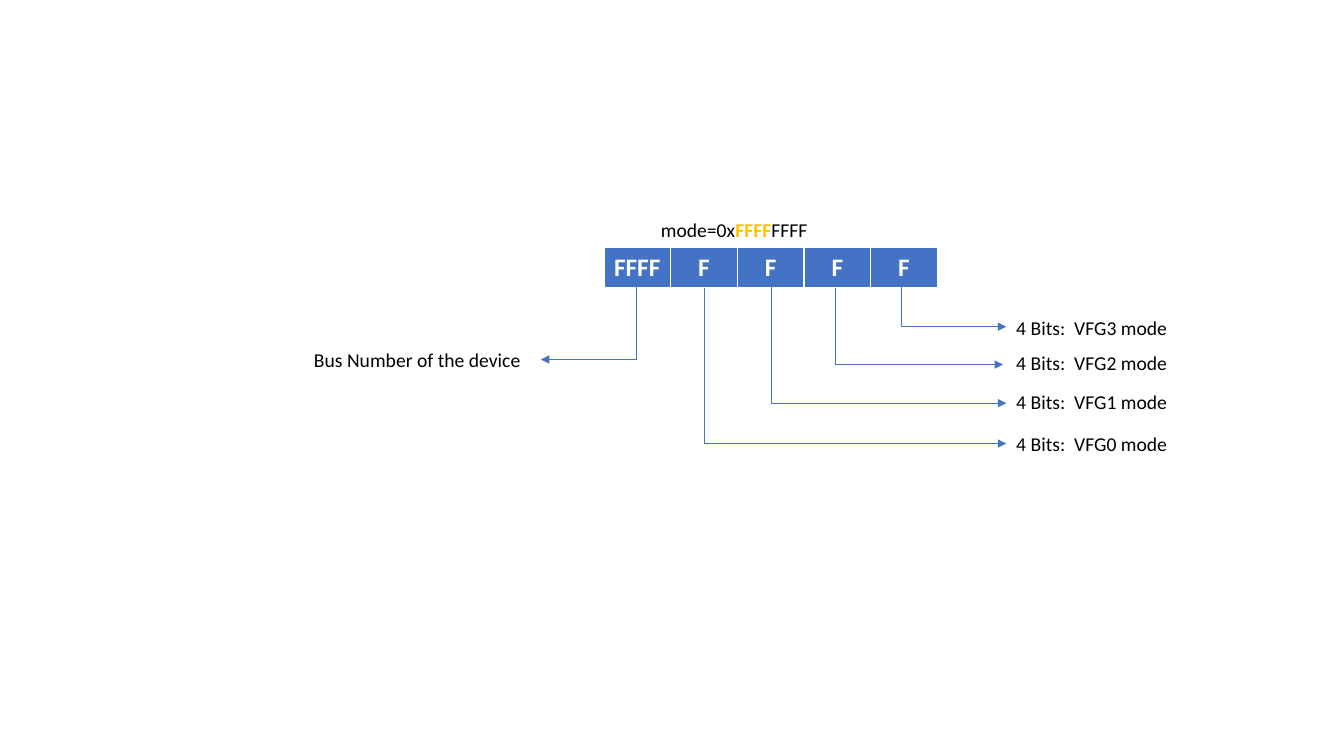
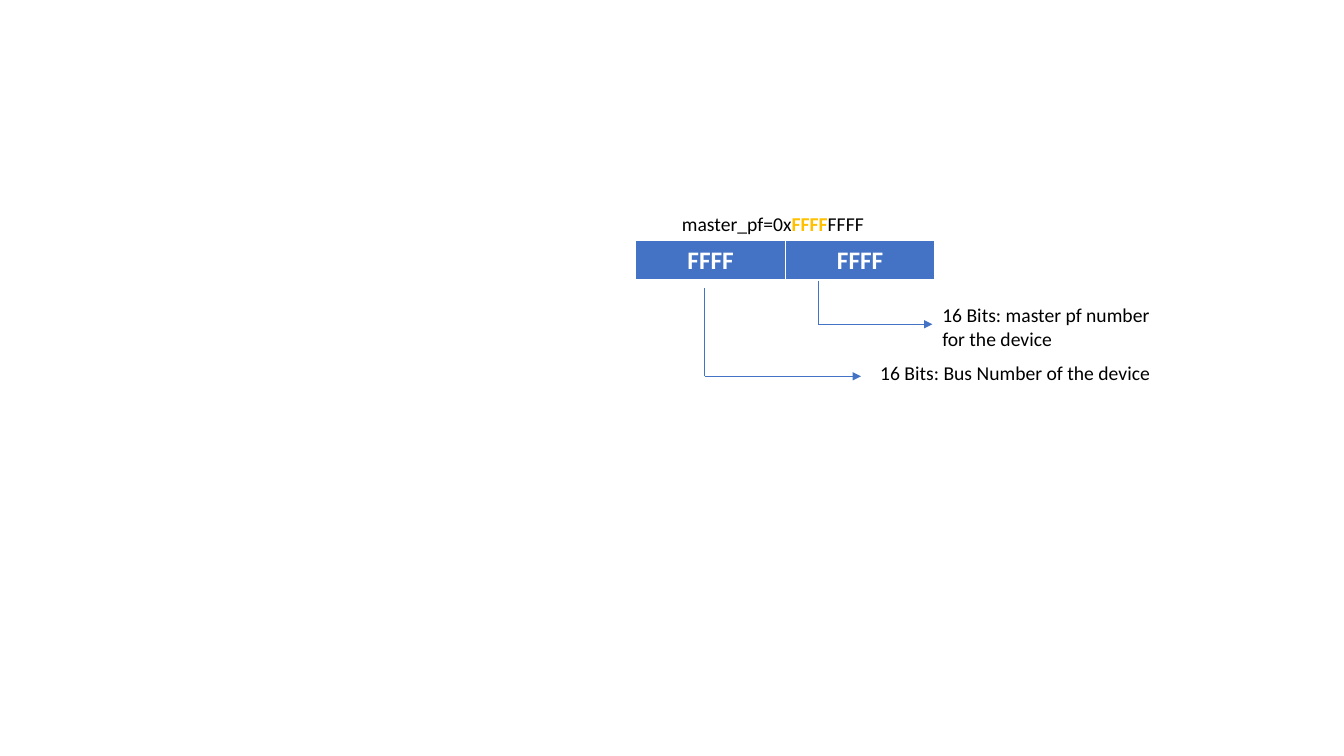
"""Draw two slides that explain how hexadecimal parameters split into bit fields."""
from dataclasses import dataclass

from lxml.etree import SubElement
from pptx import Presentation
from pptx.dml.color import RGBColor
from pptx.enum.shapes import MSO_CONNECTOR
from pptx.enum.text import MSO_AUTO_SIZE, PP_ALIGN
from pptx.oxml.ns import qn
from pptx.slide import Slide
from pptx.util import Inches, Pt

CELL = Inches(1) // 12
COLUMNS, ROWS = 160, 90
FONT = "Calibri"
BLUE, GOLD, BLACK, WHITE = "4472C4", "FFC000", "000000", "FFFFFF"
BORDERS = {"a:lnL": 1, "a:lnR": 1, "a:lnT": 1, "a:lnB": 3}
LABEL_HEIGHT = 4.1


@dataclass(frozen=True)
class Area:
    column: float
    row: float
    width: float
    height: float = LABEL_HEIGHT


@dataclass(frozen=True)
class Field:
    meaning: str
    label: Area
    column: float
    start_row: float
    turn_row: float
    tip_column: float


@dataclass(frozen=True)
class Parameter:
    name: str
    heading: Area
    digits: tuple[str, ...]
    register: Area
    fields: tuple[Field, ...]


MODE = Parameter(
    "mode=0x", Area(77.5, 25.4, 20.2),
    ("FFFF", "F", "F", "F", "F"), Area(71.9, 29.5, 39.7, 4.9),
    (
        Field("Bus Number of the device", Area(36.2, 40.8, 28.2), 75.7, 33.6, 42.8, 64.4),
        Field("4 Bits:  VFG0 mode", Area(119.8, 50.8, 28.2), 83.9, 34.3, 52.8, 119.8),
        Field("4 Bits:  VFG1 mode", Area(119.8, 45.8, 28.2), 91.8, 33.2, 48, 119.8),
        Field("4 Bits:  VFG2 mode", Area(119.8, 41.2, 28.2), 99.5, 34.3, 43.4, 119.4),
        Field("4 Bits:  VFG3 mode", Area(119.8, 37, 28.2), 107.3, 33.6, 38.9, 119.8),
    ),
)
MASTER_PF = Parameter(
    "master_pf=0x", Area(80, 24.7, 25),
    ("FFFF", "FFFF"), Area(75.7, 28.6, 35.6, 4.8),
    (
        Field("16 Bits: Bus Number of the device", Area(103.6, 42.4, 39.1),
              83.9, 34.3, 44.8, 102.5),
        Field("16 Bits: master pf number for the device", Area(111, 35.5, 28.3, 6.8),
              97.4, 33.4, 38.6, 111),
    ),
)


def color(code: str) -> RGBColor:
    return RGBColor.from_string(code)


def grid(*cells: float) -> list[int]:
    return [round(count * CELL) for count in cells]


def place(area: Area) -> list[int]:
    return grid(area.column, area.row, area.width, area.height)


def style(run, size: float, code: str, bold: bool = False) -> None:
    run.font.name = FONT
    run.font.size = Pt(size)
    run.font.bold = bold
    run.font.color.rgb = color(code)


def add_text(slide: Slide, area: Area, *parts: tuple[str, str, bool]) -> None:
    frame = slide.shapes.add_textbox(*place(area)).text_frame
    frame.word_wrap = True
    frame.auto_size = MSO_AUTO_SIZE.SHAPE_TO_FIT_TEXT
    for words, code, bold in parts:
        run = frame.paragraphs[0].add_run()
        run.text = words
        style(run, 14, code, bold)


def add_line(slide: Slide, start: tuple[float, float], end: tuple[float, float],
             arrow: bool = False) -> None:
    wire = slide.shapes.add_connector(MSO_CONNECTOR.STRAIGHT, *grid(*start, *end))
    wire.line.color.rgb = color(BLUE)
    wire.line.width = Pt(0.5)
    properties = wire._element.spPr
    if arrow:
        SubElement(properties.find(qn("a:ln")), qn("a:tailEnd"), type="triangle")
    SubElement(properties, qn("a:effectLst"))


def add_register(slide: Slide, digits: tuple[str, ...], area: Area) -> None:
    table = slide.shapes.add_table(1, len(digits), *place(area)).table
    for cell, digit in zip(table.iter_cells(), digits):
        properties = cell._tc.get_or_add_tcPr()
        for side, width in BORDERS.items():
            border = SubElement(properties, qn(side), w=str(Pt(width)))
            SubElement(SubElement(border, qn("a:solidFill")), qn("a:srgbClr"), val=WHITE)
        cell.fill.solid()
        cell.fill.fore_color.rgb = color(BLUE)
        cell.text_frame.text = digit
        paragraph = cell.text_frame.paragraphs[0]
        paragraph.alignment = PP_ALIGN.CENTER
        style(paragraph.runs[0], 18, WHITE, True)


def add_field(slide: Slide, field: Field) -> None:
    add_text(slide, field.label, (field.meaning, BLACK, False))
    corner = (field.column, field.turn_row)
    add_line(slide, (field.column, field.start_row), corner)
    add_line(slide, corner, (field.tip_column, field.turn_row), arrow=True)


def draw(slide: Slide, parameter: Parameter) -> None:
    add_register(slide, parameter.digits, parameter.register)
    add_text(slide, parameter.heading, (parameter.name, BLACK, False),
             ("FFFF", GOLD, True), ("FFFF", BLACK, False))
    for field in parameter.fields:
        add_field(slide, field)


def main() -> None:
    deck = Presentation()
    deck.slide_width, deck.slide_height = grid(COLUMNS, ROWS)
    blank = deck.slide_layouts[6]
    for parameter in (MODE, MASTER_PF):
        draw(deck.slides.add_slide(blank), parameter)
    deck.save("out.pptx")


if __name__ == "__main__":
    main()
